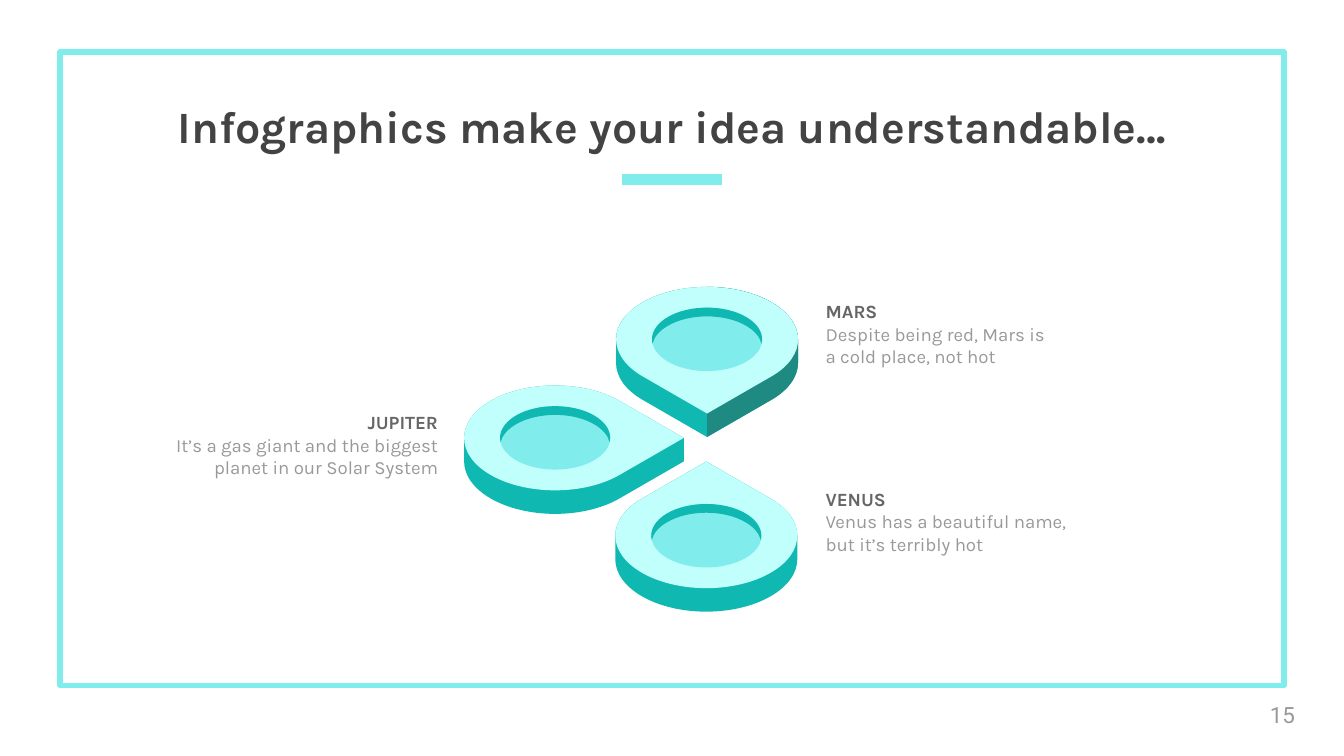
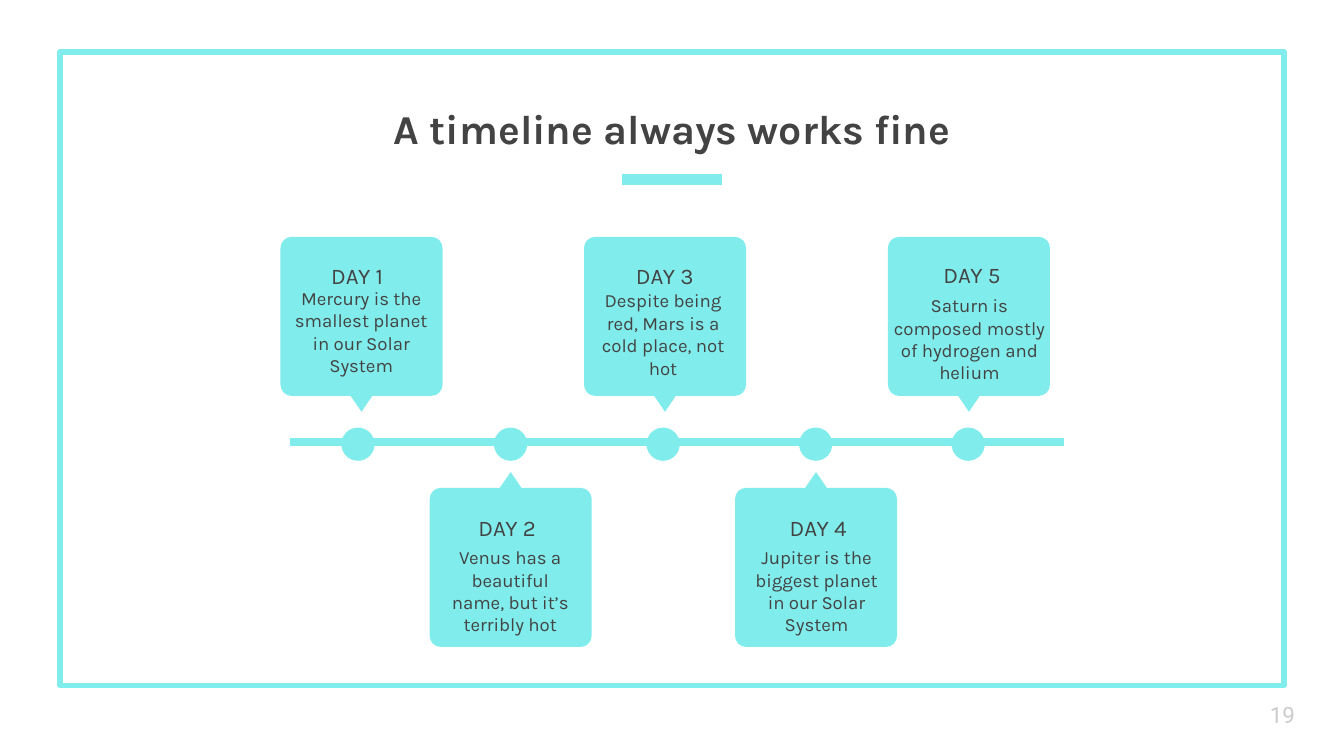
"""Build an infographic slide with three planet pins and a five-day timeline slide."""
import math

import pptx
import pptx.dml.color
import pptx.enum.shapes
import pptx.enum.text
import pptx.oxml
import pptx.oxml.ns
import pptx.util

Pt = pptx.util.Pt
ALIGN = pptx.enum.text.PP_ALIGN
ANCHOR = pptx.enum.text.MSO_ANCHOR

COLORS = {
    "aqua": "81ECEC", "pale": "C0FFFC", "teal": "0FB9B1", "deep": "1E8A82",
    "ink": "434343", "heading": "666666", "grey": "999999", "silver": "CCCCCC",
}
HEADLINE_FONT, NUMBER_FONT = "Karla", "Roboto"

INFOGRAPHIC = {"title": "Infographics make your idea understandable…", "size": 24,
               "number": "15", "number_color": "grey"}
TIMELINE = {"title": "A timeline always works fine", "size": 22,
            "number": "19", "number_color": "silver"}

PLANETS = [
    ("JUPITER", "It’s a gas giant and the biggest planet in our Solar System",
     (78.3, 213.1, 163.4, 55.4), ALIGN.RIGHT),
    ("MARS", "Despite being red, Mars is a cold place, not hot",
     (435.2, 153.6, 137.5, 59), ALIGN.LEFT),
    ("VENUS", "Venus has a beautiful name, but it’s terribly hot",
     (435.2, 254, 144.7, 80.6), ALIGN.LEFT),
]

QUARTERS = [180, 270, 360, 450, 540]
SIDES = [225, 270, 315, 405, 450, 495, 585]
UPPER, LOWER = [180, 225, 270, 315, 360], [0, 45, 90, 135, 180]
RIM, FLOOR = [172, 225, 270, 315, 368], [352, 315, 270, 225, 188]
PINS = [
    {"center": (378.8, 181.8), "tip": 450, "hole": QUARTERS, "dark_side": True},
    {"center": (297.4, 234.6), "tip": 360, "hole": QUARTERS, "dark_side": False},
    {"center": (378.4, 287), "tip": 270, "hole": SIDES, "dark_side": False},
]
PIN_RADII, HOLE_RADII = (48.75, 28.1), (29.5, 17)
PIN_DEPTH, HOLE_DEPTH = 12.6, 4.7

LEFT_DOT, MIDDLE_DOT, RIGHT_DOT = (
    [90, 225, 270, 360, 450], [90, 135, 270, 360, 450], [-90, 45, 90, 180, 270])
DAYS = [
    {"label": "DAY 1", "text": "Mercury is the smallest planet in our Solar System",
     "center": 193.7, "label_at": (157.8, 133.2), "text_at": (150.3, 146.4, 86.4),
     "dot": LEFT_DOT},
    {"label": "DAY 2", "text": "Venus has a beautiful name, but it’s terribly hot",
     "center": 273.6, "label_at": (238.2, 268.1), "text_at": (231.6, 285.3, 83.5),
     "dot": LEFT_DOT},
    {"label": "DAY 3", "text": "Despite being red, Mars is a cold place, not hot",
     "center": 356.3, "label_at": (322.6, 133.2), "text_at": (312, 147.8, 86.4),
     "dot": MIDDLE_DOT},
    {"label": "DAY 4", "text": "Jupiter is the biggest planet in our Solar System",
     "center": 437.2, "label_at": (404.8, 268.1), "text_at": (393.1, 285.3, 88.6),
     "dot": LEFT_DOT},
    {"label": "DAY 5", "text": "Saturn is composed mostly of hydrogen and helium",
     "center": 519.1, "label_at": (487.2, 132.9), "text_at": (468.9, 150.3, 100.8),
     "dot": RIGHT_DOT},
]
CARD_HALF_WIDTH, CARD_HALF_HEIGHT, CARD_CORNER = 43.4, 42.6, 6
POINTER_HALF_WIDTH, POINTER_HEIGHT = 5.8, 8.5
UPPER_ROW, LOWER_ROW = 169.5, 304
AXIS_START, AXIS_LENGTH, AXIS_HEIGHT = (155.5, 234.7), 414.4, 4.2
FIRST_DOT, DOT_STEP, DOT_MIDDLE, DOT_RADIUS = 191.8, 81.73, 238, 8.9


def rgb(name):
    return pptx.dml.color.RGBColor.from_string(COLORS[name])


def points(*values):
    return [Pt(value) for value in values]


def on_ellipse(radii, angle, scale=1.0):
    turn = math.radians(angle)
    return radii[0] * scale * math.cos(turn), radii[1] * scale * math.sin(turn)


def arcs(radii, angles, shift=(0, 0), tip=None):
    """Return line steps (one point) and curve steps (three points) through the angles."""
    steps, previous = [], None
    for angle in angles:
        at_tip = tip is not None and (angle - tip) % 360 == 0
        x, y = on_ellipse(radii, angle, math.sqrt(2) if at_tip else 1)
        step = [(x, y)]
        if previous is not None and not at_tip:
            handle = 4 / 3 * math.tan(math.radians(angle - previous) / 4)
            x0, y0 = on_ellipse(radii, previous)
            dx0, dy0 = on_ellipse(radii, previous + 90, handle)
            dx, dy = on_ellipse(radii, angle + 90, handle)
            step = [(x0 + dx0, y0 + dy0), (x - dx, y - dy), (x, y)]
        steps.append([(px + shift[0], py + shift[1]) for px, py in step])
        previous = None if at_tip else angle
    return steps


def add_outline(shapes, center, steps, color):
    vertices = [((center[0] + x) * 100, (center[1] + y) * 100)
                for step in steps for x, y in step]
    builder = shapes.build_freeform(*vertices[0], scale=Pt(1) / 100)
    builder.add_line_segments(vertices[1:], close=True)
    shape = builder.convert_to_shape()
    shape.shadow.inherit = False
    shape.fill.solid()
    shape.fill.fore_color.rgb = rgb(color)
    shape.line.fill.background()
    qn = pptx.oxml.ns.qn
    track = shape._element.find(".//" + qn("a:path"))
    lines = iter(track.findall(qn("a:lnTo")))
    for step in steps[1:]:
        parts = [next(lines) for point in step]
        if len(parts) == 3:
            curve = pptx.oxml.parse_xml(
                "<a:cubicBezTo %s/>" % pptx.oxml.ns.nsdecls("a"))
            parts[0].addprevious(curve)
            for part in parts:
                curve.append(part[0])
                track.remove(part)


def add_text(page, rect, paragraphs, align=ALIGN.LEFT, anchor=ANCHOR.TOP, font=HEADLINE_FONT):
    box = page.shapes.add_textbox(*points(*rect))
    frame = box.text_frame
    frame.word_wrap = True
    frame.vertical_anchor = anchor
    frame.margin_left = frame.margin_right = frame.margin_top = frame.margin_bottom = Pt(7.2)
    for index, (text, size, color, bold) in enumerate(paragraphs):
        para = frame.add_paragraph() if index else frame.paragraphs[0]
        para.alignment = align
        span = para.add_run()
        span.text = text
        span.font.name = font
        span.font.size = Pt(size)
        span.font.bold = bold
        span.font.color.rgb = rgb(color)


def add_page(deck, content):
    page = deck.slides.add_slide(deck.slide_layouts[6])
    frame = page.shapes.add_shape(
        pptx.enum.shapes.MSO_SHAPE.RECTANGLE, *points(32.2, 27.9, 655.7, 339.4))
    frame.shadow.inherit = False
    frame.fill.background()
    frame.line.color.rgb = rgb("aqua")
    frame.line.width = Pt(3)
    dash = page.shapes.add_connector(
        pptx.enum.shapes.MSO_CONNECTOR.STRAIGHT, *points(333.2, 96.3, 386.8, 96.3))
    dash.line.color.rgb = rgb("aqua")
    dash.line.width = Pt(6)
    dash._element.spPr.append(pptx.oxml.parse_xml(
        "<a:effectLst %s/>" % pptx.oxml.ns.nsdecls("a")))
    add_text(page, (0, 17.1, 720, 72), [(content["title"], content["size"], "ink", True)],
             ALIGN.CENTER, ANCHOR.BOTTOM)
    add_text(page, (673.2, 367.2, 43.2, 31),
             [(content["number"], 12, content["number_color"], False)],
             anchor=ANCHOR.MIDDLE, font=NUMBER_FONT)
    return page


def add_pin(page, center, tip, hole, dark_side):
    group = page.shapes.add_group_shape().shapes
    drop = (0, PIN_DEPTH)
    body = arcs(PIN_RADII, UPPER, tip=tip) + arcs(PIN_RADII, LOWER, drop, tip)
    add_outline(group, center, body, "teal")
    if dark_side:
        half = arcs(PIN_RADII, UPPER[2:], tip=tip) + arcs(PIN_RADII, LOWER[:3], drop, tip)
        add_outline(group, center, half, "deep")
    face = sorted({*SIDES, tip})
    add_outline(group, center, arcs(PIN_RADII, face, tip=tip), "pale")
    add_outline(group, center, arcs(HOLE_RADII, hole), "aqua")
    shade = arcs(HOLE_RADII, RIM) + arcs(HOLE_RADII, FLOOR, (0, HOLE_DEPTH))
    add_outline(group, center, shade, "teal")


def add_card(shapes, center, direction):
    x, y = CARD_HALF_WIDTH - CARD_CORNER, CARD_HALF_HEIGHT - CARD_CORNER
    steps = []
    for start, corner in zip(QUARTERS, [(-x, -y), (x, -y), (x, y), (-x, y)]):
        steps += arcs((CARD_CORNER, CARD_CORNER), [start, start + 90], corner)
        if corner == (x, y):
            steps += [[(POINTER_HALF_WIDTH, CARD_HALF_HEIGHT)],
                      [(0, CARD_HALF_HEIGHT + POINTER_HEIGHT)],
                      [(-POINTER_HALF_WIDTH, CARD_HALF_HEIGHT)]]
    flipped = [[(px, py * direction) for px, py in step] for step in steps]
    add_outline(shapes, center, flipped, "aqua")


def build_infographic(deck):
    page = add_page(deck, INFOGRAPHIC)
    for name, fact, rect, align in PLANETS:
        add_text(page, rect, [(name, 10, "heading", True), (fact, 10, "grey", False)], align)
    for pin in PINS:
        add_pin(page, **pin)


def build_timeline(deck):
    page = add_page(deck, TIMELINE)
    group = page.shapes.add_group_shape().shapes
    axis = [[(0, 0)], [(0, AXIS_HEIGHT)], [(AXIS_LENGTH, AXIS_HEIGHT)], [(AXIS_LENGTH, 0)]]
    add_outline(group, AXIS_START, axis, "aqua")
    for index, day in enumerate(DAYS):
        middle, direction = (LOWER_ROW, -1) if index % 2 else (UPPER_ROW, 1)
        add_card(group, (day["center"], middle), direction)
        add_outline(group, (FIRST_DOT + index * DOT_STEP, DOT_MIDDLE),
                    arcs((DOT_RADIUS, DOT_RADIUS), day["dot"]), "aqua")
        left, top, width = day["text_at"]
        add_text(page, (left, top, width, 53.3), [(day["text"], 10, "ink", False)], ALIGN.CENTER)
        add_text(page, (*day["label_at"], 67, 26.6), [(day["label"], 12, "ink", False)],
                 ALIGN.CENTER)


def main():
    deck = pptx.Presentation()
    deck.slide_width, deck.slide_height = points(720, 405)
    build_infographic(deck)
    build_timeline(deck)
    deck.save("out.pptx")


if __name__ == "__main__":
    main()
